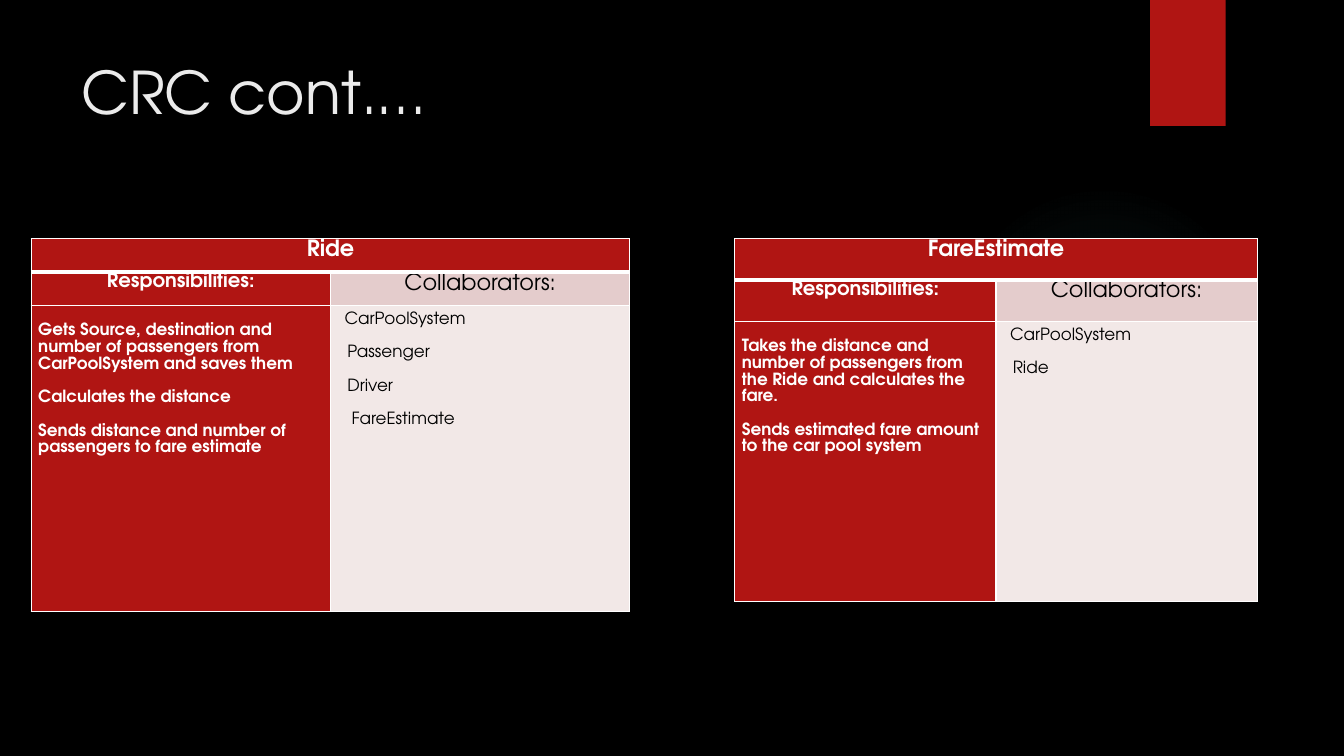
from lxml import etree
from pptx import Presentation
from pptx.dml.color import RGBColor
from pptx.enum.shapes import MSO_SHAPE
from pptx.enum.text import MSO_ANCHOR, PP_ALIGN
from pptx.oxml import parse_xml
from pptx.oxml.ns import nsdecls, qn
from pptx.util import Pt

BLACK = RGBColor(0x00, 0x00, 0x00)
WHITE = RGBColor(0xFF, 0xFF, 0xFF)
TITLE_GREY = RGBColor(0xEB, 0xEB, 0xEB)
RED = RGBColor(0xB0, 0x15, 0x13)
PINK = RGBColor(0xE4, 0xCC, 0xCC)
PALE_PINK = RGBColor(0xF2, 0xE8, 0xE7)
GLOW = RGBColor(0x50, 0xB9, 0xC1)
FONT = "TeX Gyre Adventor"

# Text formats: font attributes plus colour
TITLE = {"size": Pt(42), "bold": False, "color": TITLE_GREY}
CLASS_NAME = {"size": Pt(16), "bold": True, "color": WHITE}
RESPONSIBILITY_HEAD = {"size": Pt(14), "bold": True, "color": WHITE}
COLLABORATOR_HEAD = {"size": Pt(16), "bold": False, "color": BLACK}
RESPONSIBILITY = {"size": Pt(12), "bold": True, "color": WHITE}
COLLABORATOR = {"size": Pt(12), "bold": False, "color": BLACK}

LINE_GAP = 12
CARD_TOP = 170.6

# Each collaborator comes with its indent
CARDS = [
    {
        "name": "Ride", "left": 22.3, "column": 213.8, "rows": (23.8, 23.8, 218.9),
        "responsibilities": [
            "Gets Source, destination and number of passengers from CarPoolSystem and saves them",
            "Calculates the distance",
            "Sends distance and number of passengers to fare estimate",
        ],
        "collaborators": [("CarPoolSystem", 5), ("Passenger", 7), ("Driver", 7),
                          ("FareEstimate", 10)],
    },
    {
        "name": "FareEstimate", "left": 524.9, "column": 186.6, "rows": (29.5, 29.5, 200.2),
        "responsibilities": [
            "Takes the distance and number of passengers from the Ride and calculates the fare.",
            "Sends estimated fare amount to the car pool system",
        ],
        "collaborators": [("CarPoolSystem", 5), ("Ride", 7)],
    },
]


def write_run(paragraph, text, text_format):
    run = paragraph.add_run()
    run.text = text
    run.font.name = FONT
    for name, value in text_format.items():
        if name == "color":
            run.font.color.rgb = value
        else:
            setattr(run.font, name, value)


def add_plain_shape(slide, kind, left, top, width, height, color):
    shape = slide.shapes.add_shape(kind, Pt(left), Pt(top), Pt(width), Pt(height))
    shape.shadow.inherit = False
    shape.line.fill.background()
    shape.fill.solid()
    shape.fill.fore_color.rgb = color
    return shape


def add_glow(slide):
    shape = add_plain_shape(slide, MSO_SHAPE.OVAL, 677.5, 131.8, 221.8, 221.8, GLOW)
    stops = "".join(
        f'<a:gs pos="{position}000"><a:srgbClr val="{GLOW}">'
        f'<a:alpha val="{alpha}000"/></a:srgbClr></a:gs>'
        for position, alpha in ((0, 7), (36, 6), (69, 0), (100, 0)))
    gradient = parse_xml(
        f'<a:gradFill {nsdecls("a")}><a:gsLst>{stops}</a:gsLst><a:path path="circle">'
        '<a:fillToRect l="50000" t="50000" r="50000" b="50000"/></a:path></a:gradFill>')
    properties = shape.element.spPr
    properties.replace(properties.find(qn("a:solidFill")), gradient)


def add_title(slide, text):
    frame = slide.shapes.add_textbox(Pt(51), Pt(36), Pt(741), Pt(110)).text_frame
    frame.word_wrap = True
    frame.vertical_anchor = MSO_ANCHOR.TOP
    write_run(frame.paragraphs[0], text, TITLE)


def set_borders(cell, top=1, bottom=1):
    properties = cell._tc.get_or_add_tcPr()
    widths = (("lnL", 1), ("lnR", 1), ("lnT", top), ("lnB", bottom))
    for index, (side, width) in enumerate(widths):
        line = etree.Element(qn(f"a:{side}"), w=str(Pt(width)))
        fill = etree.SubElement(line, qn("a:solidFill"))
        etree.SubElement(fill, qn("a:srgbClr"), val=str(WHITE))
        properties.insert(index, line)


def fill_cell(cell, items, text_format, color, align=PP_ALIGN.LEFT, top=0):
    """Write (text, indent) items as paragraphs one blank line apart."""
    margins = {"margin_left": 5, "margin_right": 5, "margin_top": top, "margin_bottom": 0}
    for name, value in margins.items():
        setattr(cell, name, Pt(value))
    cell.fill.solid()
    cell.fill.fore_color.rgb = color
    frame = cell.text_frame
    for index, (text, indent) in enumerate(items):
        paragraph = frame.add_paragraph() if index else frame.paragraphs[0]
        paragraph.alignment = align
        paragraph.line_spacing = 1.07
        paragraph.space_before = Pt(LINE_GAP if index else 0)
        if indent:
            paragraph._p.get_or_add_pPr().set("marL", str(Pt(indent)))
        write_run(paragraph, text, text_format)


def add_card(slide, card):
    rows, column = card["rows"], card["column"]
    table = slide.shapes.add_table(3, 2, Pt(card["left"]), Pt(CARD_TOP),
                                   Pt(2 * column), Pt(sum(rows))).table
    for table_column in table.columns:
        table_column.width = Pt(column)
    for row, height in zip(table.rows, rows):
        row.height = Pt(height)
    table.cell(0, 0).merge(table.cell(0, 1))

    # Class name and column heads
    center = PP_ALIGN.CENTER
    fill_cell(table.cell(0, 0), [(card["name"], 0)], CLASS_NAME, RED, center)
    fill_cell(table.cell(1, 0), [("Responsibilities:", 0)], RESPONSIBILITY_HEAD, RED, center)
    fill_cell(table.cell(1, 1), [("Collaborators:", 0)], COLLABORATOR_HEAD, PINK, center)

    # Card body
    duties = [(text, 0) for text in card["responsibilities"]]
    fill_cell(table.cell(2, 0), duties, RESPONSIBILITY, RED, top=LINE_GAP)
    fill_cell(table.cell(2, 1), card["collaborators"], COLLABORATOR, PALE_PINK, top=4)

    # White grid with a heavy rule under the class name
    for row_index, (top, bottom) in enumerate(((1, 3), (3, 1), (1, 1))):
        for column_index in range(2):
            set_borders(table.cell(row_index, column_index), top, bottom)


def main():
    presentation = Presentation()
    presentation.slide_width, presentation.slide_height = Pt(960), Pt(540)
    slide = presentation.slides.add_slide(presentation.slide_layouts[6])
    slide.background.fill.solid()
    slide.background.fill.fore_color.rgb = BLACK

    # Decoration
    add_glow(slide)
    add_plain_shape(slide, MSO_SHAPE.RECTANGLE, 821.5, 0, 54, 90, RED)

    # Content
    add_title(slide, "CRC cont.…")
    for card in CARDS:
        add_card(slide, card)
    presentation.save("out.pptx")


main()
